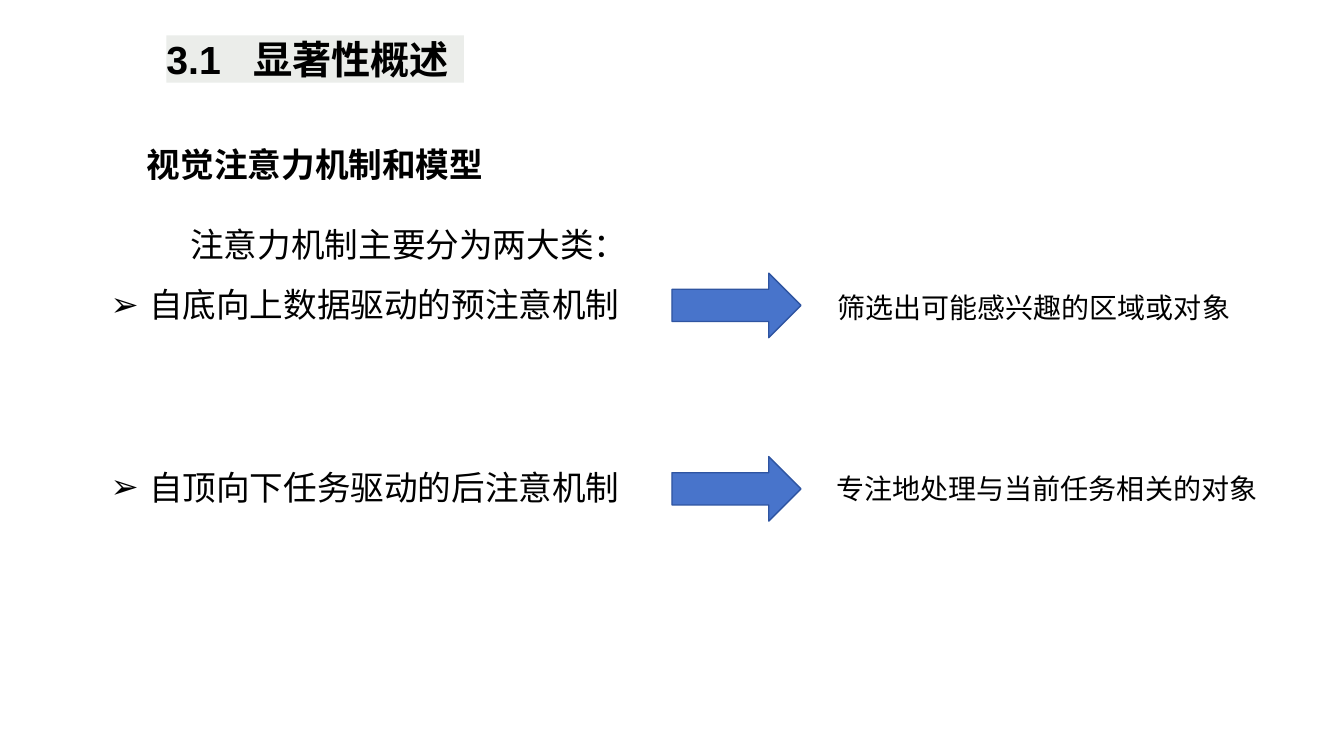
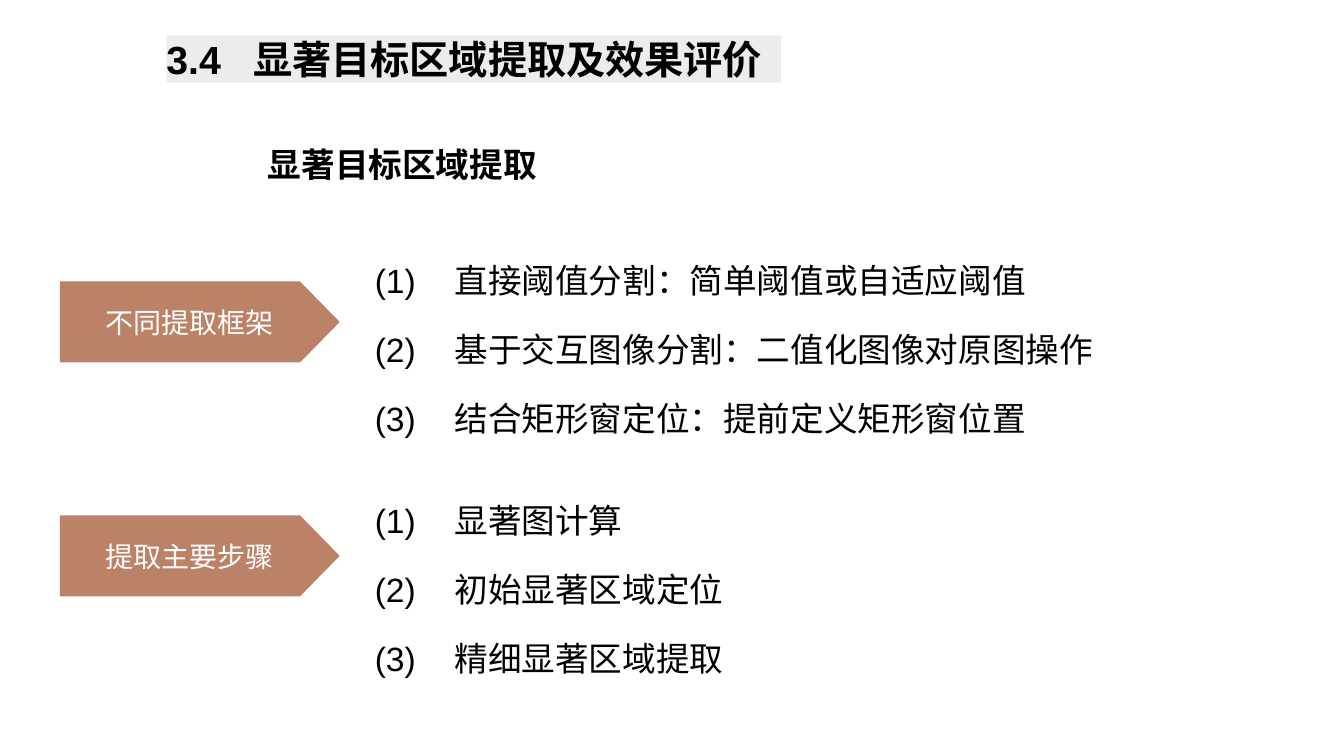
from pptx import Presentation
from pptx.dml.color import RGBColor
from pptx.enum.shapes import MSO_SHAPE as Shape
from pptx.enum.text import MSO_ANCHOR as Anchor, MSO_AUTO_SIZE as AutoSize, PP_ALIGN as Align
from pptx.oxml.ns import qn
from pptx.util import Inches, Pt
from lxml.etree import SubElement

COLORS = {"text": "000000", "band": "EBEDEA", "arrow": "4874CB",
          "arrow_edge": "2E54A1", "label": "BC8268", "label_text": "FFFFFF"}
LATIN, HAN = "Arial", "Noto Sans CJK SC"


class Deck:
    """Shared style and current slide; boxes lie on a 100 x 100 grid."""

    def __init__(self):
        self.prs = Presentation()
        self.prs.slide_width, self.prs.slide_height = Inches(13.33), Inches(7.5)
        self.slide = None

    def place(self, left, top, width, height):
        column, row = self.prs.slide_width / 100, self.prs.slide_height / 100
        return (round(left * column), round(top * row),
                round(width * column), round(height * row))

    def run(self, paragraph, text, size, font=HAN, color="text", bold=False):
        run = paragraph.add_run()
        run.text = text
        run.font.size, run.font.bold = Pt(size), bold
        run.font.color.rgb = RGBColor.from_string(COLORS[color])
        run.font.name = font
        SubElement(run.font._element, qn("a:ea"), typeface=HAN)

    def tab(self, paragraph, inches):
        stops = SubElement(paragraph._p.get_or_add_pPr(), qn("a:tabLst"))
        SubElement(stops, qn("a:tab"), pos=str(Inches(inches)), algn="l")

    def indent(self, paragraph, margin, first):
        props = paragraph._p.get_or_add_pPr()
        props.set("marL", str(Inches(margin)))
        props.set("indent", str(Inches(first)))

    def bullet(self, paragraph, char):
        self.indent(paragraph, 0.38, -0.38)
        props = paragraph._p.get_or_add_pPr()
        SubElement(props, qn("a:buFont"), typeface=LATIN)
        SubElement(props, qn("a:buChar"), char=char)

    def space(self, paragraph, lines, before):
        paragraph.line_spacing = lines
        paragraph.space_before = Pt(before)

    def new_slide(self, number, title, width):
        self.slide = self.prs.slides.add_slide(self.prs.slide_layouts[5])
        band = self.slide.shapes.title
        band.left, band.top, band.width, band.height = self.place(12.38, 4.67, width, 6.27)
        band.fill.solid()
        band.fill.fore_color.rgb = RGBColor.from_string(COLORS["band"])
        frame = band.text_frame
        frame.margin_left = frame.margin_right = frame.margin_top = frame.margin_bottom = 0
        frame.vertical_anchor, frame.auto_size = Anchor.TOP, AutoSize.NONE
        line = frame.paragraphs[0]
        self.tab(line, 0.86)
        line.alignment = Align.LEFT
        self.space(line, 1.0, 0)
        self.run(line, number + "\t", 28, LATIN, bold=True)
        self.run(line, title, 28, bold=True)

    def text_box(self, *box, wrap=True):
        frame = self.slide.shapes.add_textbox(*self.place(*box)).text_frame
        frame.word_wrap = wrap
        return frame

    def heading(self, text, left, width):
        frame = self.text_box(left, 18.4, width, 6.67, wrap=False)
        self.run(frame.paragraphs[0], text, 24, bold=True)

    def caption(self, text, left, top):
        frame = self.text_box(left, top, 34.1, 5.87)
        self.run(frame.paragraphs[0], text, 20, LATIN)

    def shape(self, kind, box, fill, edge):
        shape = self.slide.shapes.add_shape(kind, *self.place(*box))
        shape.shadow.inherit = False
        shape.fill.solid()
        shape.fill.fore_color.rgb = RGBColor.from_string(COLORS[fill])
        shape.line.color.rgb = RGBColor.from_string(COLORS[edge])
        shape.line.width = Pt(1)
        return shape

    def arrow(self, top):
        self.shape(Shape.RIGHT_ARROW, (50, top, 9.6, 8.53), "arrow", "arrow_edge")

    def label(self, text, top):
        plate = self.shape(Shape.PENTAGON, (4.5, top, 20.7, 10.53), "label", "label")
        plate.adjustments[0] = 0.49
        plate.text_frame.vertical_anchor = Anchor.MIDDLE
        line = plate.text_frame.paragraphs[0]
        line.alignment = Align.CENTER
        self.run(line, text, 20, color="label_text")


def attention_slide(deck):
    deck.new_slide("3.1", "显著性概述", 22.13)
    deck.heading("视觉注意力机制和模型", 10.2, 26.48)

    # Two kinds of attention
    frame = deck.text_box(7.5, 27.33, 86.63, 69.07)
    intro = frame.paragraphs[0]
    deck.indent(intro, 0, 0.79)
    deck.space(intro, 1.3, 0)
    deck.run(intro, "注意力机制主要分为两大类：", 24)
    for mechanism, before in (("自底向上数据驱动的预注意机制", 6),
                              ("自顶向下任务驱动的后注意机制", 93)):
        line = frame.add_paragraph()
        deck.bullet(line, "➢")
        line.alignment = Align.JUSTIFY
        deck.space(line, 1.3, before)
        deck.run(line, mechanism, 24)

    # What each kind does
    for arrow_top, effect, left, top in (
            (36.13, "筛选出可能感兴趣的区域或对象", 61.57, 37.73),
            (60.4, "专注地处理与当前任务相关的对象", 61.5, 61.73)):
        deck.arrow(arrow_top)
        deck.caption(effect, left, top)


def extraction_slide(deck):
    deck.new_slide("3.4", "显著目标区域提取及效果评价", 45.75)
    deck.heading("显著目标区域提取", 19.2, 21.53)

    # Labelled groups of numbered items
    groups = (
        ("不同提取框架", 37.33, ("直接阈值分割：简单阈值或自适应阈值",
                          "基于交互图像分割：二值化图像对原图操作",
                          "结合矩形窗定位：提前定义矩形窗位置")),
        ("提取主要步骤", 68.27, ("显著图计算", "初始显著区域定位", "精细显著区域提取")),
    )
    frame = deck.text_box(27.15, 31.07, 69, 59.87)
    line = None
    for label, top, items in groups:
        deck.label(label, top)
        for number, item in enumerate(items, 1):
            if line is None:
                line, before = frame.paragraphs[0], 0
            else:
                line, before = frame.add_paragraph(), 30 if number == 1 else 6
            deck.tab(line, 0.79)
            deck.space(line, 1.5, before)
            deck.run(line, f"({number})\t", 24, LATIN)
            deck.run(line, item, 24)


def main():
    deck = Deck()
    attention_slide(deck)
    extraction_slide(deck)
    deck.prs.save("out.pptx")


if __name__ == "__main__":
    main()
